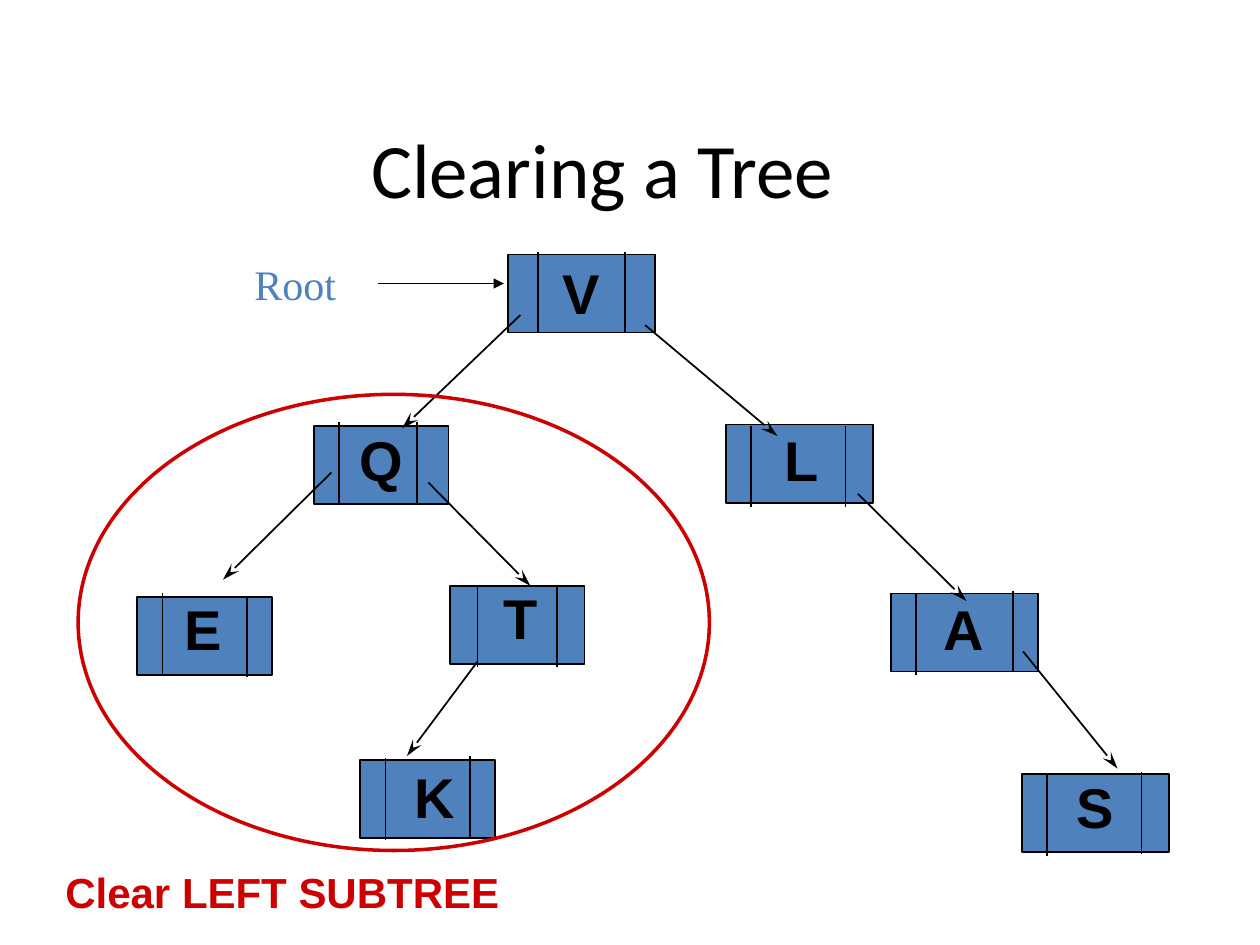
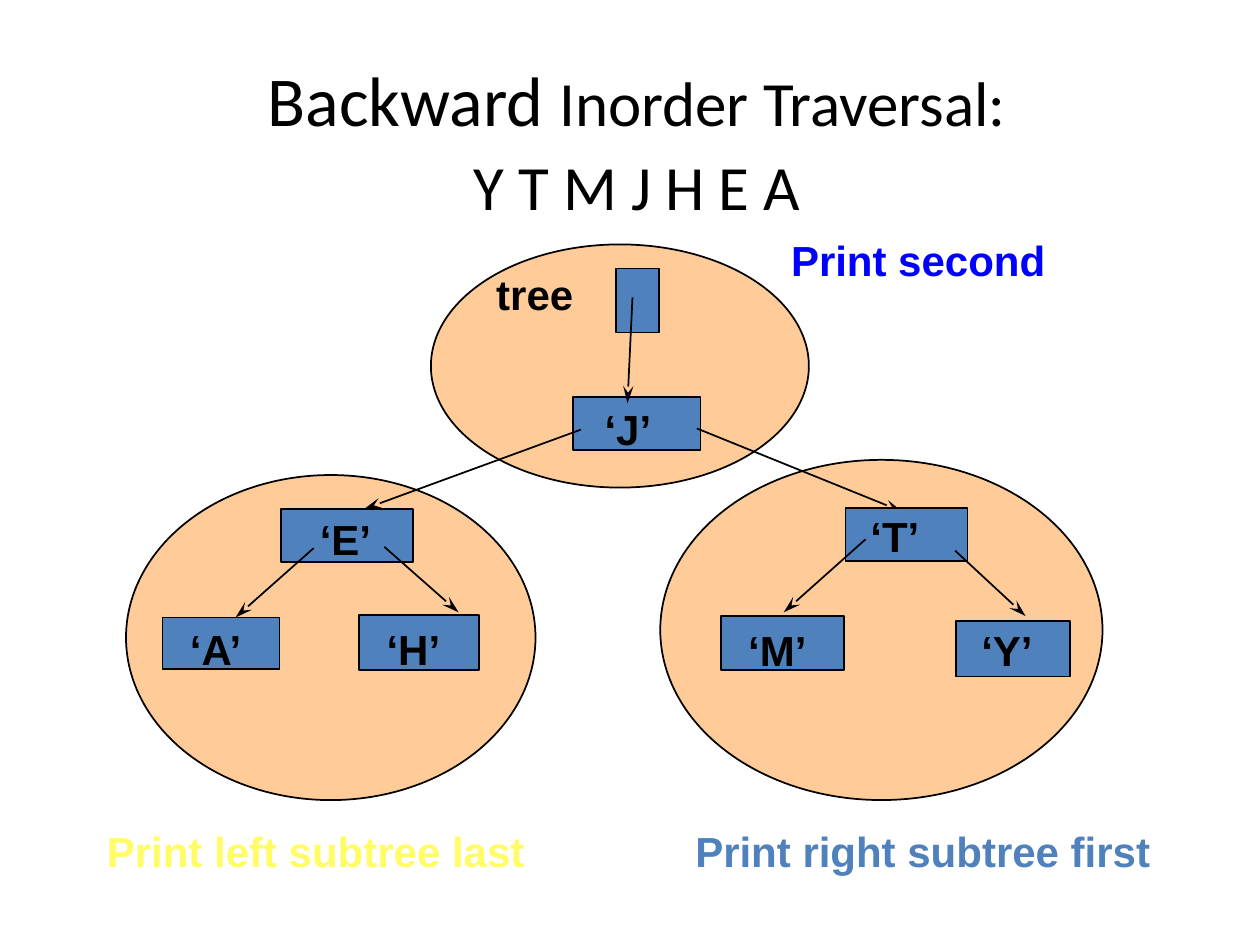
from dataclasses import dataclass
from lxml.etree import SubElement as Sub
from pptx import Presentation
from pptx.dml.color import RGBColor as RGB
from pptx.enum.shapes import MSO_CONNECTOR as LINK, MSO_SHAPE as FORM
from pptx.enum.text import MSO_ANCHOR as ANCHOR, PP_ALIGN as ALIGN
from pptx.oxml.ns import qn
from pptx.util import Inches, Pt


@dataclass(frozen=True)
class Theme:
    black: str = "000000"
    node: str = "4F81BD"
    peach: str = "FFCC99"
    red: str = "CC0000"
    yellow: str = "FFFC66"
    blue: str = "0000FF"
    big: int = 44
    head: int = 40
    sub: int = 36
    key: int = 32
    body: int = 24
    thin: int = 1
    thick: int = 2


look = Theme()
title = {"name": "Calibri", "bold": False}
label = {"name": "Arial", "bold": True}
serif = {"name": "Times New Roman", "bold": False}

deck = Presentation()
deck.slide_width, deck.slide_height = Inches(10), Inches(7.5)
# The grid has 100 columns and 75 rows of square cells
col, row = deck.slide_width / 100, deck.slide_height / 75
blank = deck.slide_layouts[6]


def put(page, at, form=None, fill=None, line=None, width=look.thin, lines=(),
        style=label, color=look.black, align=ALIGN.LEFT, anchor=ANCHOR.TOP):
    """Place a shape, or a text box when form is None; lines hold (text, size) runs."""
    x, y, w, h = at
    place = [int(v) for v in (x * col, y * row, w * col, h * row)]
    if form is None:
        box = page.shapes.add_textbox(*place)
    else:
        box = page.shapes.add_shape(form, *place)
        box.shadow.inherit = False
        if fill:
            box.fill.solid()
            box.fill.fore_color.rgb = RGB.from_string(fill)
        else:
            box.fill.background()
        box.line.color.rgb = RGB.from_string(line or look.black)
        box.line.width = Pt(width)
    frame = box.text_frame
    frame.word_wrap = True
    frame.vertical_anchor = anchor
    for i, runs in enumerate(lines):
        para = frame.add_paragraph() if i else frame.paragraphs[0]
        para.alignment = align
        if i:
            para.space_before = Pt(4)
        for text, size in runs:
            run = para.add_run()
            run.text = text
            for name, value in {**style, "size": Pt(size)}.items():
                setattr(run.font, name, value)
            run.font.color.rgb = RGB.from_string(color)


def join(page, x1, y1, x2, y2, tip=None, length="lg"):
    """Draw a line, with an arrowhead at its end when tip is given."""
    wire = page.shapes.add_connector(
        LINK.STRAIGHT, int(x1 * col), int(y1 * row), int(x2 * col), int(y2 * row))
    wire.line.color.rgb = RGB.from_string(look.black)
    wire.line.width = Pt(look.thin)
    if tip:
        Sub(wire.line._get_or_add_ln(), qn("a:tailEnd"), type=tip, w="med", len=length)
    Sub(wire._element.spPr, qn("a:effectLst"))


# Slide 1: clearing a tree
page = deck.slides.add_slide(blank)
put(page, (3.3, 5, 89, 12.5), lines=[[("Clearing a Tree", look.big)]],
    style=title, align=ALIGN.CENTER, anchor=ANCHOR.BOTTOM)

wide, slim, tall, bar = 11.7, 10.7, 6.2, 6.45
# key, left, top, width, key centre, key top, (x, y) of both bars
nodes = [
    ("V", 40.3, 20.2, wide, 46.1, 20, (42.7, 20), (49.6, 20)),
    ("Q", 24.9, 33.8, slim, 30.3, 33.3, (26.9, 33.5), (33.1, 33.5)),
    ("L", 57.6, 33.7, wide, 63.6, 33.3, (59.6, 33.8), (67.1, 33.8)),
    ("A", 70.7, 47.1, wide, 76.5, 46.7, (72.7, 47.1), (80.4, 46.9)),
    ("S", 81.1, 61.4, wide, 86.9, 60.8, (83.1, 61.5), (90.6, 61.3)),
    ("E", 10.9, 47.4, slim, 16.1, 46.7, (12.9, 47.1), (19.6, 47.3)),
    ("T", 35.7, 46.5, slim, 41.3, 45.8, (37.9, 46.5), (44.2, 46.5)),
    ("K", 28.6, 60.3, slim, 34.5, 60, (30.6, 60.2), (37.3, 60)),
]
for key, x, y, w, mid, top, *bars in nodes:
    put(page, (x, y, w, tall), FORM.RECTANGLE, look.node)
    put(page, (mid - 5, top, 10, 6.3), lines=[[(key, look.key)]], align=ALIGN.CENTER)
    for bx, by in bars:
        join(page, bx, by, bx, by + bar)

for ends in [
    (51.2, 25.8, 61.7, 34.6), (68.1, 39.2, 76.7, 47.7), (81.2, 51.7, 88.7, 61),
    (34, 38.3, 42.1, 46.5), (26.3, 37.5, 17.7, 46), (37.9, 52.5, 32.3, 60),
    (41.3, 25, 31.9, 34),
]:
    join(page, *ends, tip="stealth")

join(page, 30, 22.5, 40, 22.5, tip="triangle", length="med")
put(page, (19.2, 20, 10.8, 5), lines=[[("Root", look.body)]], style=serif, color=look.node)
put(page, (6.2, 31.3, 50.1, 36.2), FORM.OVAL, line=look.red, width=look.thick)
put(page, (4.2, 68.3, 40, 5), lines=[[("Clear LEFT SUBTREE", look.body)]], color=look.red)

# Slide 2: backward inorder traversal
page = deck.slides.add_slide(blank)
for oval in [(52.4, 36.5, 35.1, 27), (34.2, 19.4, 30, 19.3), (10, 37.7, 32.5, 25.8)]:
    put(page, oval, FORM.OVAL, look.peach)

put(page, (4, 5.7, 93.1, 12.5), style=title, align=ALIGN.CENTER, anchor=ANCHOR.BOTTOM,
    lines=[[("Backward ", look.head), ("Inorder Traversal:", look.sub)],
           [("Y T M J H E A", look.sub)]])

# Each part: nodes (key, box, key left, key top), then the arrows over them
parts = [
    ([("E", (22.3, 40.4, 10.5, 4.2), 24.4, 40.3),
      ("A", (12.9, 49, 9.3, 4.1), 14.1, 49),
      ("H", (28.5, 48.8, 9.5, 4.4), 29.7, 49),
      ("J", (45.5, 31.5, 10.1, 4.2), 47, 31.5)],
     [(55.3, 34, 71.6, 40.6), (30.5, 43.4, 36.4, 48.6),
      (24.9, 43.5, 18.7, 49), (46.1, 34.1, 28.9, 40.4)]),
    ([("T", (67.1, 40.3, 9.7, 4.2), 68.1, 40),
      ("M", (57.2, 48.9, 9.8, 4.3), 58.4, 49.1),
      ("Y", (75.9, 49.3, 9, 4.4), 76.9, 49.1)],
     [(75.8, 43.7, 81.4, 48.9), (68.7, 42.8, 62.2, 48.6)]),
]
for nodes, links in parts:
    for key, box, x, y in nodes:
        put(page, box, FORM.RECTANGLE, look.node)
        put(page, (x, y, 8, 5), lines=[[(f"‘{key}’", look.body)]])
    for ends in links:
        join(page, *ends, tip="stealth")

put(page, (48.9, 21.3, 3.4, 5.1), FORM.RECTANGLE, look.node)
join(page, 50.2, 23.6, 49.8, 32, tip="stealth")

for text, x, y, w, color in [
    ("tree", 38.4, 20.8, 9, look.black),
    ("Print right subtree first", 54.2, 65, 40, look.node),
    ("Print left subtree last", 7.5, 65, 40, look.yellow),
    ("Print second", 61.8, 18.1, 25, look.blue),
]:
    put(page, (x, y, w, 5), lines=[[(text, look.body)]], color=color)

deck.save("out.pptx")
